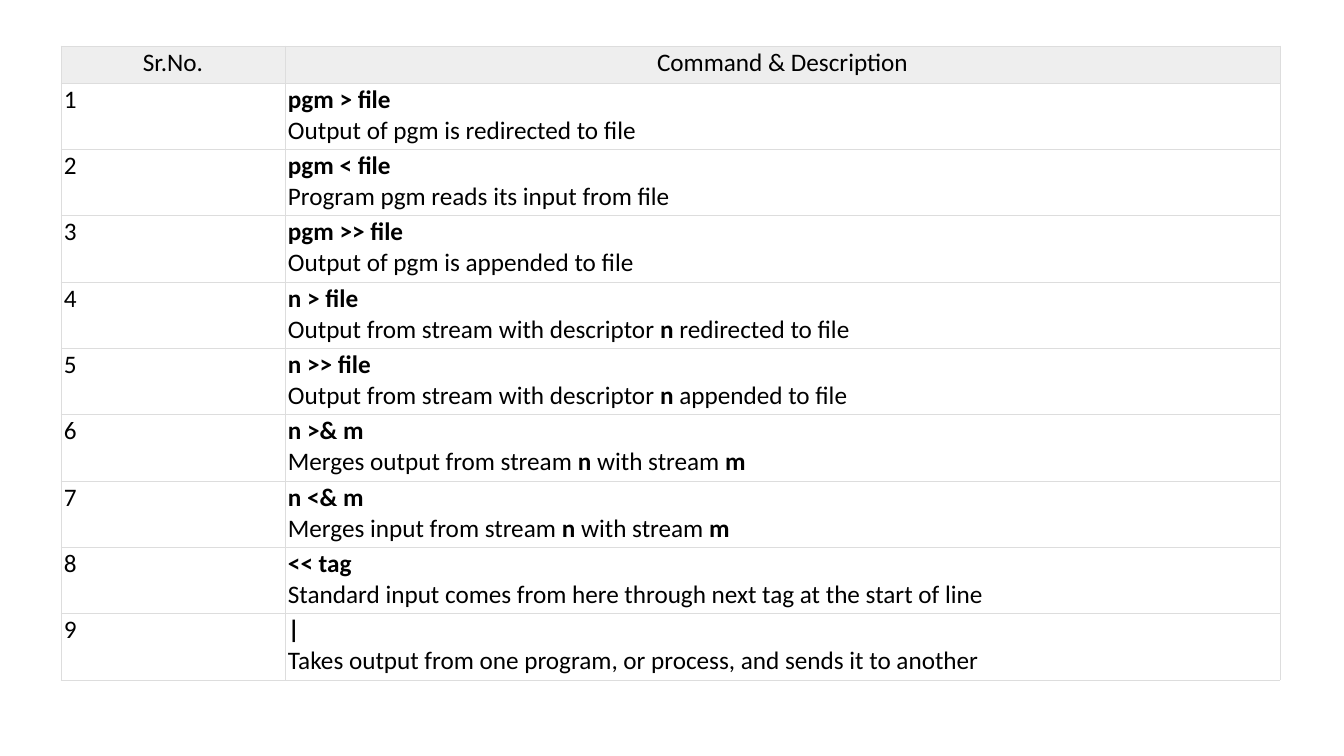
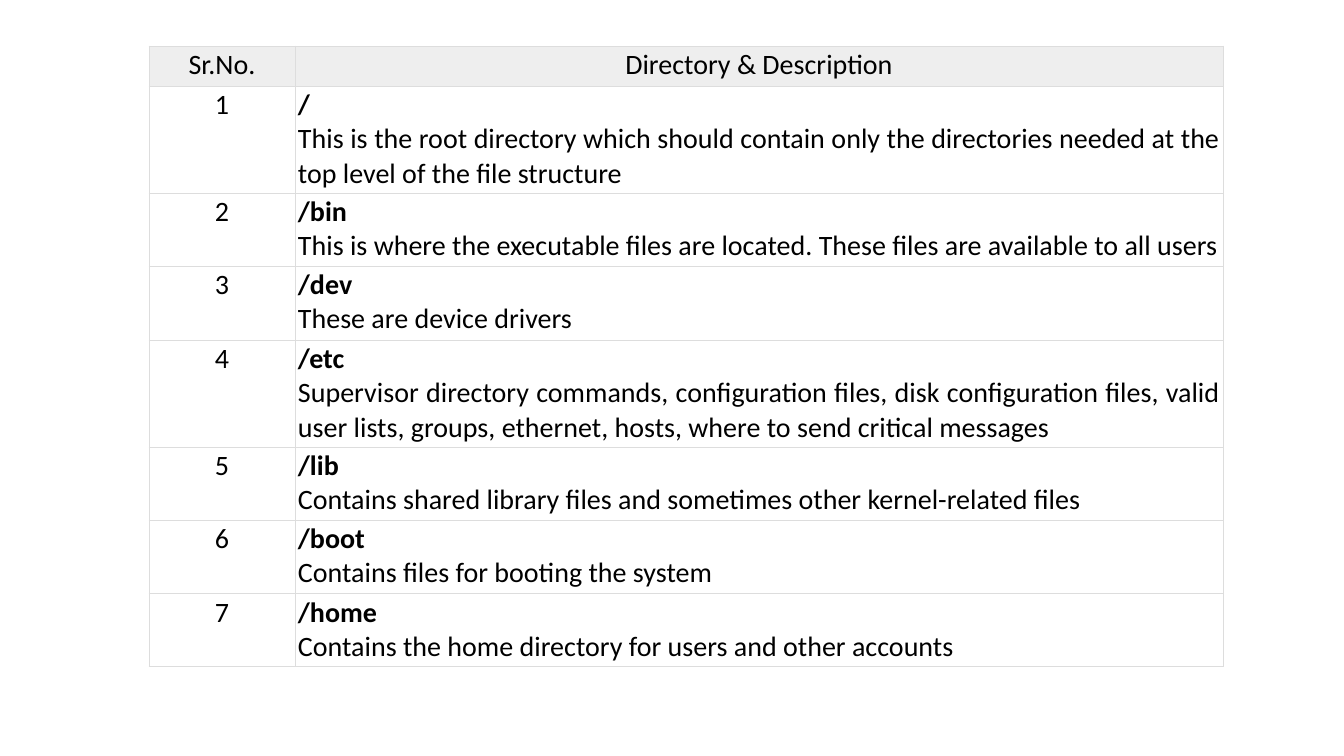
from lxml.etree import SubElement
from pptx import Presentation
from pptx.dml.color import RGBColor
from pptx.enum.text import MSO_ANCHOR as Anchor, PP_ALIGN as Align
from pptx.oxml.ns import qn
from pptx.util import Emu, Pt

BLACK = RGBColor(0x00, 0x00, 0x00)
HEADER_GREY = RGBColor(0xEE, 0xEE, 0xEE)
BORDER_GREY = RGBColor(0xDD, 0xDD, 0xDD)
BORDER_WIDTH = Pt(0.6)
FONT = "Calibri"
TABLE_TOP = 46
CELL_FORMAT = {"vertical_anchor": Anchor.TOP}


def px(length):
    return Emu(round(length * 914400 / 100.8))


CELL_FORMAT.update(margin_left=px(3), margin_right=px(3), margin_top=px(2), margin_bottom=px(2))


def fill_cell(cell, lines, size, align, is_header):
    for name, value in CELL_FORMAT.items():
        setattr(cell, name, value)
    properties = cell._tc.get_or_add_tcPr()
    for side in ("a:lnL", "a:lnR", "a:lnT", "a:lnB"):
        border = SubElement(properties, qn(side), w=str(BORDER_WIDTH))
        SubElement(SubElement(border, qn("a:solidFill")), qn("a:srgbClr"), val=str(BORDER_GREY))
    if is_header:
        cell.fill.solid()
        cell.fill.fore_color.rgb = HEADER_GREY
    else:
        cell.fill.background()
    frame = cell.text_frame
    for index, line in enumerate(lines):
        paragraph = frame.add_paragraph() if index else frame.paragraphs[0]
        paragraph.alignment = align
        for position, part in enumerate(line.split("*")):
            if part:
                run = paragraph.add_run()
                run.text = part
                font_format = {"name": FONT, "size": Pt(size), "bold": position % 2 == 1}
                for name, value in font_format.items():
                    setattr(run.font, name, value)
                run.font.color.rgb = BLACK


redirections = {
    "heading": "Command & Description",
    "left": 61,
    "columns": [224, 995],
    "rows": [37] + [66, 66, 67] * 3,
    "size": 18,
    "number_align": Align.LEFT,
    "entries": [
        ("pgm > file", "Output of pgm is redirected to file"),
        ("pgm < file", "Program pgm reads its input from file"),
        ("pgm >> file", "Output of pgm is appended to file"),
        ("n > file", "Output from stream with descriptor *n* redirected to file"),
        ("n >> file", "Output from stream with descriptor *n* appended to file"),
        ("n >& m", "Merges output from stream *n* with stream *m*"),
        ("n <& m", "Merges input from stream *n* with stream *m*"),
        ("<< tag", "Standard input comes from here through next tag at the start of line"),
        ("|", "Takes output from one program, or process, and sends it to another"),
    ],
}
directories = {
    "heading": "Directory & Description",
    "left": 149,
    "columns": [146, 928],
    "rows": [40, 107, 73, 74, 107, 73, 74, 73],
    "size": 20,
    "number_align": Align.CENTER,
    "entries": [
        ("/", "This is the root directory which should contain only the directories "
              "needed at the top level of the file structure"),
        ("/bin", "This is where the executable files are located. "
                 "These files are available to all users"),
        ("/dev", "These are device drivers"),
        ("/etc", "Supervisor directory commands, configuration files, disk configuration files, "
                 "valid user lists, groups, ethernet, hosts, where to send critical messages"),
        ("/lib", "Contains shared library files and sometimes other kernel-related files"),
        ("/boot", "Contains files for booting the system"),
        ("/home", "Contains the home directory for users and other accounts"),
    ],
}

deck = Presentation()
deck.slide_width = px(1344)
deck.slide_height = px(756)
blank_layout = deck.slide_layouts[6]

for reference in (redirections, directories):
    slide = deck.slides.add_slide(blank_layout)
    columns, rows, size = reference["columns"], reference["rows"], reference["size"]
    table = slide.shapes.add_table(
        len(rows), len(columns), px(reference["left"]), px(TABLE_TOP), px(sum(columns)), px(sum(rows))
    ).table
    table.horz_banding = False
    for column, width in zip(table.columns, columns):
        column.width = px(width)
    for row, height in zip(table.rows, rows):
        row.height = px(height)
    for column_index, heading in enumerate(("Sr.No.", reference["heading"])):
        fill_cell(table.cell(0, column_index), [heading], size, Align.CENTER, True)
    for number, (term, description) in enumerate(reference["entries"], start=1):
        fill_cell(table.cell(number, 0), [str(number)], size, reference["number_align"], False)
        fill_cell(table.cell(number, 1), [f"*{term}*", description], size, Align.JUSTIFY, False)

deck.save("out.pptx")
